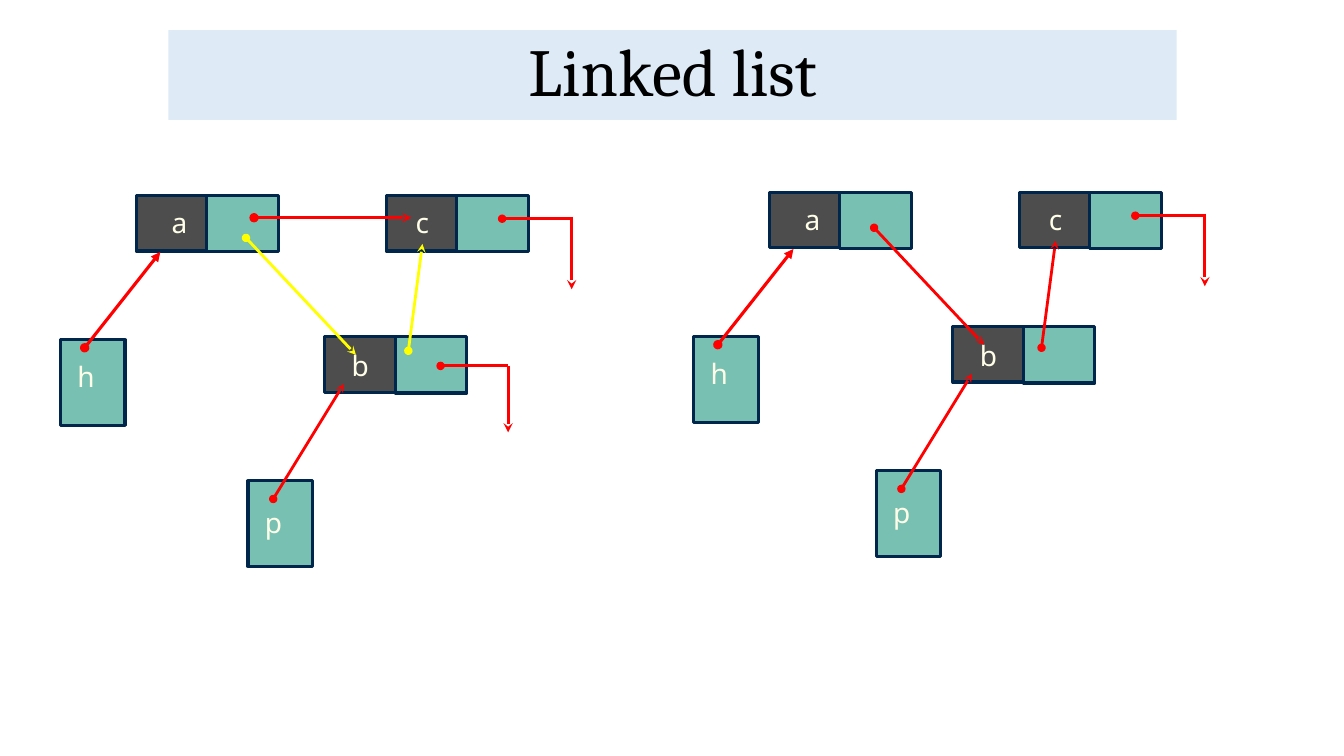
from lxml import etree
from pptx import Presentation
from pptx.dml.color import RGBColor
from pptx.enum.shapes import MSO_CONNECTOR, MSO_SHAPE
from pptx.enum.text import MSO_ANCHOR, PP_ALIGN
from pptx.oxml.ns import qn
from pptx.util import Inches, Pt

RED, YELLOW = "FF0000", "FFFF00"


def color(value):
    """Turn a hex string into a colour."""
    return RGBColor.from_string(value)


class Diagram:
    """Style and drawing methods for one slide."""
    data_fill, link_fill, outline = "4D4D4D", "78C0B2", "00264C"
    label_font, label_color = "Noto Sans", "FFFFE9"

    def __init__(self, slide):
        """Keep the slide to draw on."""
        self.shapes = slide.shapes

    def add_text(self, shape, text, size, font, text_color):
        """Put one centred line of text in a shape."""
        paragraph = shape.text_frame.paragraphs[0]
        paragraph.alignment = PP_ALIGN.CENTER
        run = paragraph.add_run()
        run.text = text
        run.font.size = Pt(size)
        run.font.name = font
        run.font.color.rgb = color(text_color)
        return paragraph

    def box(self, x, y, width, height, fill, outline=None):
        """Draw a rectangle, outlined if a colour is given."""
        shape = self.shapes.add_shape(
            MSO_SHAPE.RECTANGLE, Inches(x), Inches(y), Inches(width), Inches(height))
        shape.shadow.inherit = False
        shape.fill.solid()
        shape.fill.fore_color.rgb = color(fill)
        if outline:
            shape.line.color.rgb = color(outline)
            shape.line.width = Pt(2.25)
        else:
            shape.line.fill.background()
        return shape

    def title(self, text):
        """Draw the title band."""
        band = self.box(1.67, 0.3, 10, 0.89, "DEEBF7")
        band.text_frame.vertical_anchor = MSO_ANCHOR.MIDDLE
        self.add_text(band, text, 48, "Cambria", "000000").line_spacing = 0.9

    def label(self, text, x, y):
        """Add the name of a node or pointer."""
        frame = self.shapes.add_textbox(Inches(x), Inches(y), Inches(0.36), Inches(0.44))
        frame.text_frame.word_wrap = False
        self.add_text(frame, text, 20, self.label_font, self.label_color)

    def node(self, text, x, y, label_dx, label_dy):
        """Draw a list node: data cell, link cell and name."""
        self.box(x + 0.7, y, 0.71, 0.56, self.link_fill, self.outline)
        self.box(x, y, 0.7, 0.55, self.data_fill, self.outline)
        self.label(text, x + label_dx, y + label_dy)

    def pointer(self, text, x, y, label_dy):
        """Draw a pointer variable."""
        self.box(x, y, 0.64, 0.85, self.link_fill, self.outline)
        self.label(text, x + 0.07, y + label_dy)

    def arrow(self, start, end, line_color=RED, width=2.0, head="oval", tail="stealth"):
        """Draw a straight line with optional end marks."""
        line = self.shapes.add_connector(
            MSO_CONNECTOR.STRAIGHT, *(Inches(value) for value in (*start, *end)))
        line.line.color.rgb = color(line_color)
        line.line.width = Pt(width)
        properties = line._element.spPr
        outline = properties.find(qn("a:ln"))
        for tag, mark in (("a:headEnd", head), ("a:tailEnd", tail)):
            if mark:
                etree.SubElement(outline, qn(tag), type=mark)
        etree.SubElement(properties, qn("a:effectLst"))

    def null_link(self, x, y, width, height, rise=0):
        """Draw a link that turns down to nothing."""
        self.arrow((x, y), (x + width, y), tail=None)
        self.arrow((x + width, y - rise), (x + width, y + height), width=2.25, head=None)

    def linked_list(self, x, y, bx, by, link_color):
        """Draw nodes a and c from (x, y), node b from (bx, by), and their links."""
        self.pointer("p", bx - 0.76, by + 1.43, 0.2)
        self.node("b", bx, by, 0.17, 0.07)
        self.node("c", x + 2.48, y, 0.18, 0.05)
        self.node("a", x, y, 0.25, 0.05)
        self.pointer("h", x - 0.75, y + 1.43, 0.15)
        self.null_link(x + 3.63, y + 0.23, 0.69, 0.7, rise=0.02)
        self.arrow((x - 0.51, y + 1.51), (x + 0.24, y + 0.56), width=2.25, tail="triangle")
        self.arrow((bx - 0.51, by + 1.61), (bx + 0.19, by + 0.47))
        self.arrow((bx - 0.78, by - 0.98), (bx + 0.31, by + 0.18), link_color)
        self.arrow((x + 2.7, y + 1.54), (x + 2.84, y + 0.48), link_color)


presentation = Presentation()
presentation.slide_width = Inches(13.33)
presentation.slide_height = Inches(7.5)
diagram = Diagram(presentation.slides.add_slide(presentation.slide_layouts[6]))

diagram.title("Linked list")
diagram.linked_list(1.35, 1.94, 3.22, 3.34, YELLOW)
diagram.arrow((2.52, 2.16), (4.08, 2.16), width=2.25)
diagram.null_link(4.37, 3.63, 0.67, 0.66)
diagram.linked_list(7.63, 1.91, 9.45, 3.24, RED)

presentation.save("out.pptx")
